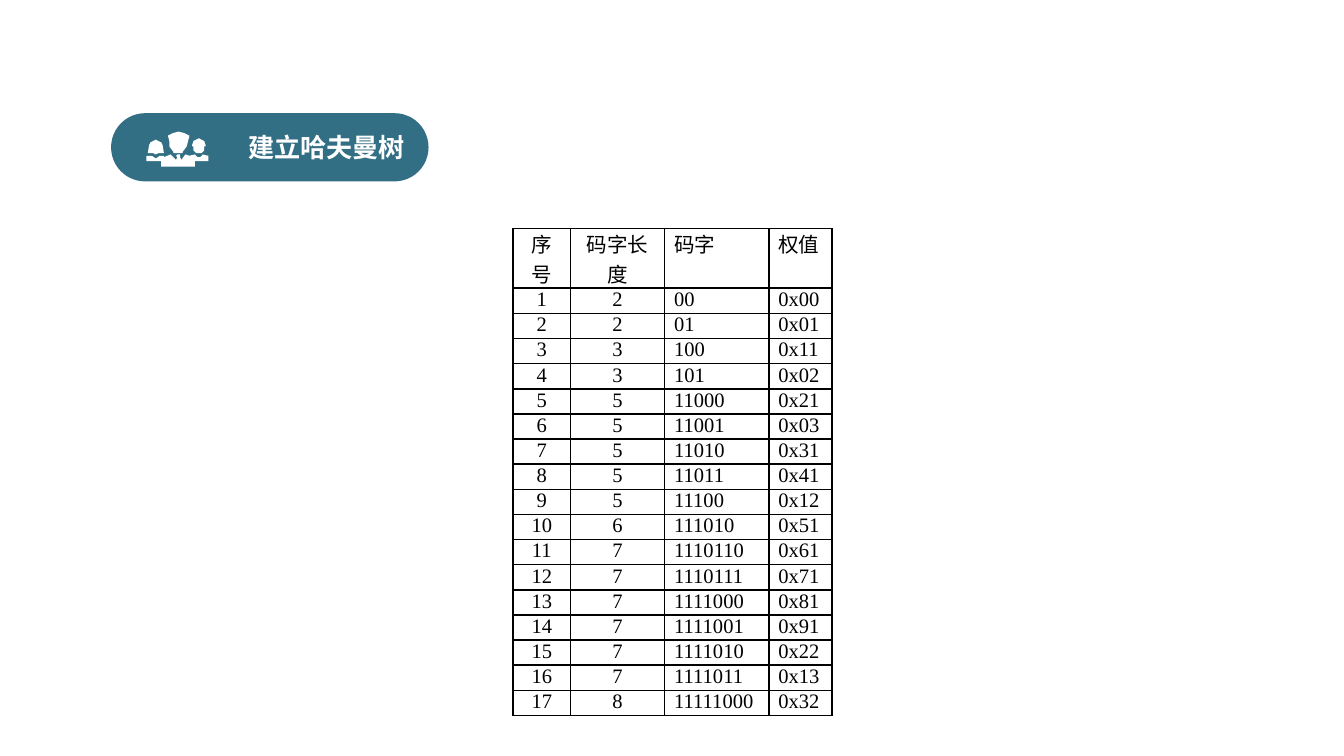
"""Build the slide listing the code words of a Huffman tree."""
from lxml import etree
from pptx import Presentation
from pptx import util as u
from pptx.dml.color import RGBColor
from pptx.enum import shapes, text
from pptx.oxml import ns

COLORS = {"teal": "326E84", "white": "FFFFFF", "black": "000000"}
TITLE = "建立哈夫曼树"
HEADER = ("序号", "码字长度", "码字", "权值")
CODES = [
    ("00", "0x00"), ("01", "0x01"), ("100", "0x11"), ("101", "0x02"),
    ("11000", "0x21"), ("11001", "0x03"), ("11010", "0x31"),
    ("11011", "0x41"), ("11100", "0x12"), ("111010", "0x51"),
    ("1110110", "0x61"), ("1110111", "0x71"), ("1111000", "0x81"),
    ("1111001", "0x91"), ("1111010", "0x22"), ("1111011", "0x13"),
    ("11111000", "0x32"),
]
COLUMN_WIDTHS = (1.08, 1.78, 1.97, 1.19)
HEADER_HEIGHT, BODY_HEIGHT = 1.13, 8.09
ICON_UNIT = u.Cm(2.54) / 100
PEOPLE = {
    "left head": [(110, 114), (111, 108), (112.5, 105.5), (116, 104.3),
                  (119.5, 105.5), (121, 108), (122, 114), (118, 114),
                  (116, 114.7), (114, 114)],
    "shoulders": [(141, 116), (145, 115), (147, 117), (149, 117), (151, 115),
                  (155, 116), (155, 120), (145, 120), (145, 124), (120, 124),
                  (120, 120), (109, 120), (109.4, 116.5), (113, 116),
                  (116, 117.5), (119, 116), (122, 116), (122, 117),
                  (127, 115), (131, 119), (132, 117), (131, 116), (132, 115),
                  (134, 115), (134, 117), (135, 119), (138, 115)],
    "right head": [(153, 108), (151.5, 104.7), (148, 103), (144.5, 104.7),
                   (143, 108), (143, 109), (144, 109), (144, 112),
                   (146, 113.7), (148, 114.2), (150, 113.7), (152, 112),
                   (152, 109), (153, 109)],
    "middle head": [(140, 105), (141, 101), (137, 99), (133, 98), (129, 98.6),
                    (125, 101), (126, 105), (126.3, 109), (129, 113),
                    (129, 114), (133, 114.3), (136, 114), (136, 113),
                    (139, 109)],
}


def color(name):
    return RGBColor.from_string(COLORS[name])


def paint(shape, name):
    shape.shadow.inherit = False
    shape.fill.solid()
    shape.fill.fore_color.rgb = color(name)
    shape.line.fill.background()


def style(para, font, size, name, bold=False):
    para.font.name = font
    para.font.size = u.Pt(size)
    para.font.color.rgb = color(name)
    para.font.bold = bold


def add_heading(page):
    group = page.shapes.add_group_shape()
    pill = group.shapes.add_shape(
        shapes.MSO_SHAPE.ROUNDED_RECTANGLE,
        u.Cm(2.1), u.Cm(2.14), u.Cm(6), u.Cm(1.29))
    pill.adjustments[0] = 0.5
    paint(pill, "teal")
    pill.text_frame.word_wrap = False
    pill.text_frame.vertical_anchor = text.MSO_ANCHOR.MIDDLE
    para = pill.text_frame.paragraphs[0]
    para.text = TITLE
    para.alignment = text.PP_ALIGN.RIGHT
    style(para, "Calibri", 14, "white", bold=True)

    outlines = list(PEOPLE.values())
    builder = group.shapes.build_freeform(*outlines[0][0], scale=ICON_UNIT)
    for index, outline in enumerate(outlines):
        if index:
            builder.move_to(*outline[0])
        builder.add_line_segments(outline[1:], close=True)
    paint(builder.convert_to_shape(), "white")


def add_borders(cell):
    properties = cell._tc.get_or_add_tcPr()
    for index, side in enumerate(("lnL", "lnR", "lnT", "lnB")):
        line = etree.Element(ns.qn(f"a:{side}"), w=str(u.Pt(1)))
        fill = etree.SubElement(line, ns.qn("a:solidFill"))
        etree.SubElement(fill, ns.qn("a:srgbClr"), val=COLORS["black"])
        properties.insert(index, line)


def fill_cell(cell, value, centered):
    cell.margin_left = cell.margin_right = u.Cm(0.18)
    cell.margin_top = cell.margin_bottom = 0
    cell.fill.background()
    add_borders(cell)
    para = cell.text_frame.paragraphs[0]
    para.text = value
    para.alignment = text.PP_ALIGN.CENTER if centered else text.PP_ALIGN.LEFT
    para.space_before = para.space_after = u.Pt(7.5)
    style(para, "Times New Roman", 11, "black")


def add_code_table(page):
    rows = [HEADER] + [(str(number), str(len(code)), code, weight)
                       for number, (code, weight) in enumerate(CODES, 1)]
    table = page.shapes.add_table(
        len(rows), len(HEADER), u.Cm(9.7), u.Cm(4.32),
        u.Cm(sum(COLUMN_WIDTHS)), u.Cm(HEADER_HEIGHT + BODY_HEIGHT)).table
    table.first_row = table.horz_banding = False
    for column, width in zip(table.columns, COLUMN_WIDTHS):
        column.width = u.Cm(width)
    for index, values in enumerate(rows):
        height = BODY_HEIGHT / len(CODES) if index else HEADER_HEIGHT
        table.rows[index].height = u.Cm(height)
        for position, value in enumerate(values):
            fill_cell(table.cell(index, position), value, position < 2)


def main():
    deck = Presentation()
    deck.slide_width, deck.slide_height = u.Cm(25.4), u.Cm(14.29)
    page = deck.slides.add_slide(deck.slide_layouts[6])
    add_heading(page)
    add_code_table(page)
    deck.save("out.pptx")


if __name__ == "__main__":
    main()
